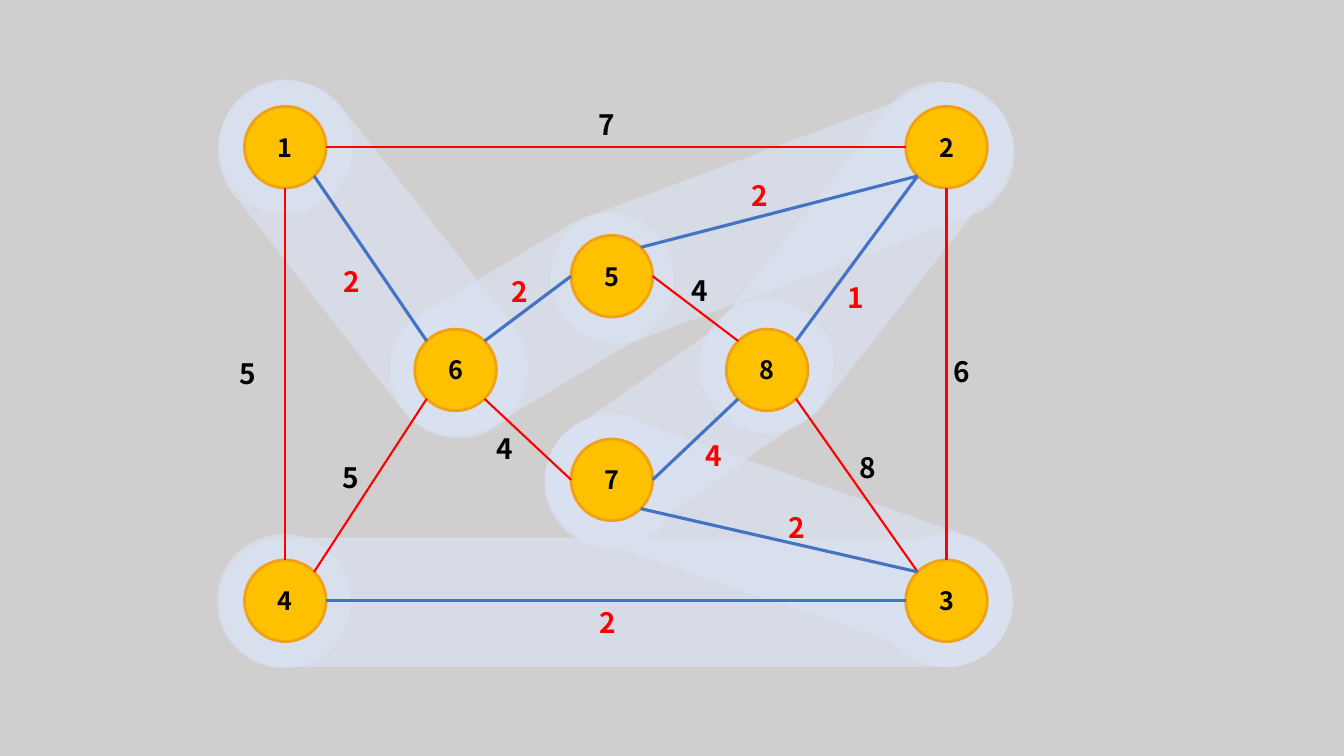
import math
from dataclasses import dataclass

from lxml import etree
from pptx import Presentation
from pptx import util as u
from pptx.dml import color
from pptx.enum import shapes, text
from pptx.oxml import ns


@dataclass(frozen=True)
class Theme:
    font: str = "Noto Sans CJK KR"
    node_size: float = 18
    weight_size: float = 20
    background: str = "D0CECE"
    halo: str = "DAE3F3"
    halo_alpha: int = 63
    node: str = "FFC000"
    node_line: str = "F1A116"
    ink: str = "000000"
    red: str = "FF0000"
    blue: str = "4472C4"


THEME = Theme()
COLUMNS, ROWS = 133.33, 75
CELL = u.Inches(0.1)
NODE_DIAMETER = 8.1
HALO_DIAMETER = 13.3
LABEL_WIDTH, LABEL_HEIGHT = 3.6, 4.4

NODES = {
    1: (28.3, 14.6), 2: (93.9, 14.6), 4: (28.3, 59.6), 3: (93.9, 59.6),
    5: (60.7, 27.4), 7: (60.7, 47.6), 8: (76.1, 36.7), 6: (45.2, 36.7),
}

BAND, DISC = "band", "disc"
HALOS = [
    (BAND, 61.1, 59.75, 12.8, 78.7, 90),
    (DISC, 28.15, 59.65),
    (BAND, 77.2, 53.25, 12.4, 48.1, 108.9),
    (DISC, 93.85, 59.55),
    (BAND, 68.1, 42.2, 12.4, 31.6, 54.7),
    (DISC, 60.65, 47.75),
    (DISC, 76.05, 36.35),
    (BAND, 84.95, 25.35, 13.1, 40.3, 38.1),
    (BAND, 77.6, 21.35, 13.2, 48.3, 69.5),
    (DISC, 93.85, 14.85),
    (BAND, 37, 25.75, 13.8, 41.3, 141.9),
    (DISC, 28.35, 14.55),
    (BAND, 53, 32.1, 13.2, 30.2, 58.9),
    (DISC, 45.35, 36.65),
]

SITE_ANGLES = {"E": 0, "SE": 45, "S": 90, "SW": 135,
               "W": 180, "NW": 225, "N": 270, "NE": 315}

EDGES = [
    (1, "E", 2, "W", "7", False, 60.2, 12.4),
    (1, "SE", 6, "NW", "2", True, 34.9, 27.9),
    (4, "NE", 6, "SW", "5", False, 34.8, 47.4),
    (4, "N", 1, "S", "5", False, 24.6, 37.1),
    (4, "E", 3, "W", "2", True, 60.3, 61.8),
    (6, "SE", 7, "W", "4", False, 50.1, 44.5),
    (6, "NE", 5, "W", "2", True, 51.6, 28.9),
    (5, "E", 8, "NW", "4", False, 69.4, 28.8),
    (8, "SE", 3, "NW", "8", False, 86.1, 46.4),
    (8, "NE", 2, "SW", "1", True, 84.9, 29.5),
    (3, "N", 2, "S", "6", False, 95.4, 36.9),
    (7, "E", 8, "SW", "4", True, 70.8, 45.2),
    (5, "NE", 2, "SW", "2", True, 75.4, 19.4),
    (7, "SE", 3, "NW", "2", True, 79, 52.4),
]


def cells(count):
    return u.Emu(round(count * CELL))


def rgb(value):
    return color.RGBColor.from_string(value)


def centred_frame(x, y, width, height):
    return [cells(n) for n in (x - width / 2, y - height / 2, width, height)]


def add_filled(slide, kind, frame, fill):
    shape = slide.shapes.add_shape(kind, *frame)
    shape.shadow.inherit = False
    shape.fill.solid()
    shape.fill.fore_color.rgb = rgb(fill)
    return shape


def add_halo(slide, kind, x, y, width=HALO_DIAMETER, length=HALO_DIAMETER, angle=0):
    preset = shapes.MSO_SHAPE.OVAL if kind == DISC else shapes.MSO_SHAPE.ROUNDED_RECTANGLE
    halo = add_filled(slide, preset, centred_frame(x, y, width, length), THEME.halo)
    if kind == BAND:
        halo.adjustments[0] = 0.5
    halo.rotation = angle
    halo.line.fill.background()
    fill_color = halo._element.spPr.find(".//" + ns.qn("a:srgbClr"))
    alpha = etree.SubElement(fill_color, ns.qn("a:alpha"))
    alpha.set("val", str(THEME.halo_alpha * 1000))


def add_bold_run(paragraph, value, size, ink):
    run = paragraph.add_run()
    run.text = value
    run.font.name = THEME.font
    run.font.size = u.Pt(size)
    run.font.bold = True
    run.font.color.rgb = rgb(ink)


def add_node(slide, number, x, y):
    frame = centred_frame(x, y, NODE_DIAMETER, NODE_DIAMETER)
    node = add_filled(slide, shapes.MSO_SHAPE.OVAL, frame, THEME.node)
    node.line.color.rgb = rgb(THEME.node_line)
    node.line.width = u.Pt(2)
    node.text_frame.vertical_anchor = text.MSO_ANCHOR.MIDDLE
    paragraph = node.text_frame.paragraphs[0]
    paragraph.alignment = text.PP_ALIGN.CENTER
    add_bold_run(paragraph, str(number), THEME.node_size, THEME.ink)


def site_point(number, site):
    x, y = NODES[number]
    angle = math.radians(SITE_ANGLES[site])
    radius = NODE_DIAMETER / 2
    return cells(x + radius * math.cos(angle)), cells(y + radius * math.sin(angle))


def add_edge(slide, start, end, chosen):
    edge = slide.shapes.add_connector(shapes.MSO_CONNECTOR.STRAIGHT, *start, *end)
    edge.line.color.rgb = rgb(THEME.blue if chosen else THEME.red)
    edge.line.width = u.Pt(2.25 if chosen else 1.5)
    etree.SubElement(edge._element.spPr, ns.qn("a:effectLst"))


def add_weight(slide, value, x, y, chosen):
    box = slide.shapes.add_textbox(*centred_frame(x, y, LABEL_WIDTH, LABEL_HEIGHT))
    box.text_frame.word_wrap = False
    box.text_frame.auto_size = text.MSO_AUTO_SIZE.SHAPE_TO_FIT_TEXT
    ink = THEME.red if chosen else THEME.ink
    add_bold_run(box.text_frame.paragraphs[0], value, THEME.weight_size, ink)


def main():
    presentation = Presentation()
    presentation.slide_width = cells(COLUMNS)
    presentation.slide_height = cells(ROWS)
    slide = presentation.slides.add_slide(presentation.slide_layouts[6])
    slide.background.fill.solid()
    slide.background.fill.fore_color.rgb = rgb(THEME.background)

    for halo in HALOS:
        add_halo(slide, *halo)
    for number, (x, y) in NODES.items():
        add_node(slide, number, x, y)
    for first, first_site, second, second_site, weight, chosen, x, y in EDGES:
        start = site_point(first, first_site)
        end = site_point(second, second_site)
        add_edge(slide, start, end, chosen)
        add_weight(slide, weight, x, y, chosen)

    presentation.save("out.pptx")


if __name__ == "__main__":
    main()
